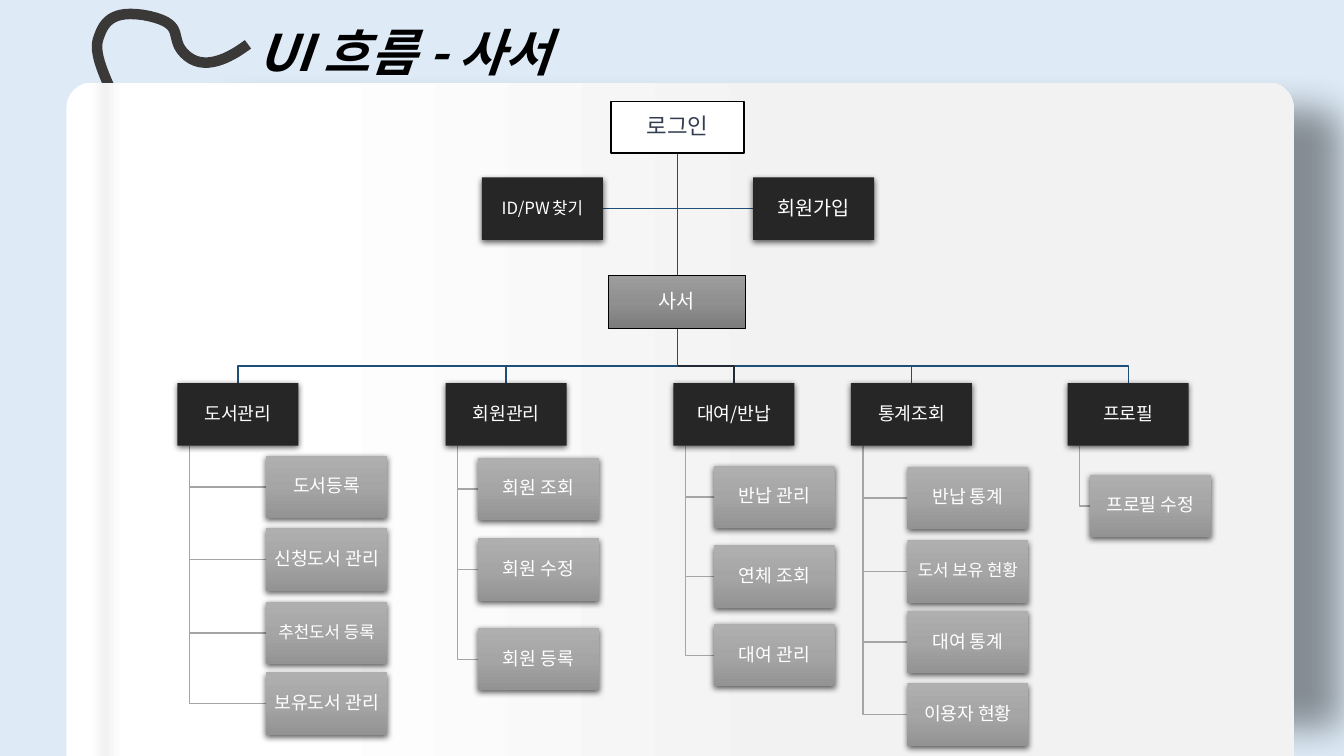
from collections import namedtuple
from dataclasses import dataclass

from lxml import etree
from pptx import Presentation
from pptx.dml.color import RGBColor
from pptx.enum.shapes import MSO_SHAPE
from pptx.enum.text import MSO_ANCHOR, MSO_AUTO_SIZE, PP_ALIGN
from pptx.oxml.ns import qn
from pptx.util import Inches, Pt

RECTANGLE = MSO_SHAPE.RECTANGLE
CARD_SHAPE = MSO_SHAPE.ROUND_2_SAME_RECTANGLE
SPINE_SHAPE = MSO_SHAPE.ROUND_1_RECTANGLE
CENTER, LEFT = PP_ALIGN.CENTER, PP_ALIGN.LEFT
MIDDLE, TOP = MSO_ANCHOR.MIDDLE, MSO_ANCHOR.TOP
GROW = MSO_AUTO_SIZE.SHAPE_TO_FIT_TEXT

# The grid has one-inch columns and rows.
COLUMNS, ROWS = 13.33, 7.5
BOX_WIDTH, BOX_HEIGHT = 1.2, 0.62
CENTER_X, LOGIN_BOTTOM, SIDE_Y = 6.72, 1.52, 2.07
BUS_Y, SECTION_TOP, STEM_INDENT = 3.63, 3.8, 0.12


@dataclass(frozen=True)
class Theme:
    font: str = "Noto Sans CJK KR"
    background: str = "DEEBF7"
    ribbon: str = "3B3838"
    black: str = "000000"
    white: str = "FFFFFF"
    login_text: str = "333F50"
    dark: str = "262626"
    trunk: str = "1F4E79"
    trunk_dark: str = "222A35"
    branch: str = "A5A5A5"
    card: tuple = ((18, "FFFFFF"), (60, "F2F2F2"))
    spine: tuple = ((29, "FFFFFF"), (49, "F2F2F2"), (73, "FFFFFF"))
    leaf: tuple = ((0, "AFAFAF"), (50, "A5A5A5"), (100, "939393"))
    role: tuple = ((0, "9D9D9D"), (50, "909090"), (100, "7C7C7C"))
    title_size: int = 36
    login_size: int = 16
    role_size: int = 14
    box_size: int = 13
    tight_size: int = 12


THEME = Theme()
Shadow = namedtuple("Shadow", "alpha blur distance direction scale")
BOX_SHADOW = Shadow(63, 4.5, 1.5, 90, 100)
CARD_SHADOW = Shadow(40, 27, 69, 0, 92)

Section = namedtuple("Section", "label left leaf_left trunk leaves")
SECTIONS = (
    Section("도서관리", 1.76, 2.64, THEME.trunk,
            (("도서등록", 4.52), ("신청도서 관리", 5.24), ("추천도서 등록", 5.97), ("보유도서 관리", 6.67))),
    Section("회원관리", 4.42, 4.74, THEME.trunk,
            (("회원 조회", 4.54), ("회원 수정", 5.34), ("회원 등록", 6.23))),
    Section("대여/반납", 6.68, 7.08, THEME.trunk_dark,
            (("반납 관리", 4.62), ("연체 조회", 5.41), ("대여 관리", 6.19))),
    Section("통계조회", 8.44, 9, THEME.trunk,
            (("반납 통계", 4.63), ("도서 보유 현황", 5.36), ("대여 통계", 6.06), ("이용자 현황", 6.78))),
    Section("프로필\t", 10.59, 10.81, THEME.trunk, (("프로필 수정", 4.71),)),
)
TIGHT_LABELS = {"추천도서 등록", "도서 보유 현황"}

RIBBON_START = (1.2, 1.12)
RIBBON_CURVES = (
    ((1.06, 0.8), (0.93, 0.56), (0.97, 0.4)),
    ((1.02, 0.24), (1.09, 0.08), (1.48, 0.16)),
    ((1.87, 0.25), (1.65, 0.39), (1.86, 0.56)),
    ((2.06, 0.72), (2.34, 0.53), (2.46, 0.44)),
)


def color(value):
    return RGBColor.from_string(value)


def paint(shape, fill, angle=0):
    """Fill with one colour, or with gradient stops at a counter-clockwise angle."""
    if isinstance(fill, str):
        shape.fill.solid()
        shape.fill.fore_color.rgb = color(fill)
        return
    shape.fill.gradient()
    shape.fill.gradient_angle = angle
    stops = shape._element.spPr.find(".//" + qn("a:gsLst"))
    for old_stop in list(stops):
        stops.remove(old_stop)
    for position, value in fill:
        stop = etree.SubElement(stops, qn("a:gs"), pos=str(position * 1000))
        etree.SubElement(stop, qn("a:srgbClr"), val=value)


def cast_shadow(shape, shadow):
    shape.shadow.inherit = False
    if shadow is None:
        return
    effects = shape._element.spPr.find(qn("a:effectLst"))
    scale = str(shadow.scale * 1000)
    outer = etree.SubElement(
        effects, qn("a:outerShdw"), blurRad=str(Pt(shadow.blur)), dist=str(Pt(shadow.distance)),
        dir=str(shadow.direction * 60000), sx=scale, sy=scale, algn="ctr", rotWithShape="0")
    tint = etree.SubElement(outer, qn("a:srgbClr"), val=THEME.black)
    etree.SubElement(tint, qn("a:alpha"), val=str(shadow.alpha * 1000))


def add_block(slide, kind, place, fill, angle=0, shadow=None, outline=None):
    """Add a preset shape; outline is a width in points, always black."""
    block = slide.shapes.add_shape(kind, *map(Inches, place))
    paint(block, fill, angle)
    cast_shadow(block, shadow)
    if outline:
        block.line.color.rgb = color(THEME.black)
        block.line.width = Pt(outline)
    else:
        block.line.fill.background()
    return block


def format_text(frame, text, size, value, align):
    frame.text = text
    para = frame.paragraphs[0]
    para.alignment = align
    for span in para.runs:
        span.font.name = THEME.font
        span.font.size = Pt(size)
        span.font.color.rgb = color(value)
        etree.SubElement(span.font._element, qn("a:ea"), typeface=THEME.font)
    return para


def add_box(slide, label, place, fill, size=THEME.box_size, text_color=THEME.white,
            shadow=BOX_SHADOW, outline=None):
    box = add_block(slide, RECTANGLE, place, fill, 270, shadow, outline)
    frame = box.text_frame
    frame.word_wrap = True
    frame.vertical_anchor = MIDDLE
    frame.margin_left = frame.margin_right = Inches(0.01)
    frame.margin_top = frame.margin_bottom = Inches(0.01)
    para = format_text(frame, label, size, text_color, CENTER)
    para.line_spacing = 0.9
    para.space_after = Pt(size * 0.35)


def add_path(slide, points, value, width=1):
    corners = [(Inches(x), Inches(y)) for x, y in points]
    builder = slide.shapes.build_freeform(*corners[0])
    builder.add_line_segments(corners[1:], close=False)
    route = builder.convert_to_shape()
    route.fill.background()
    route.line.color.rgb = color(value)
    route.line.width = Pt(width)
    route.shadow.inherit = False


def add_ribbon(slide, steps=16):
    points = [RIBBON_START]
    for curve in RIBBON_CURVES:
        controls = (points[-1], *curve)
        for step in range(1, steps + 1):
            t = step / steps
            weights = ((1 - t) ** 3, 3 * t * (1 - t) ** 2, 3 * t * t * (1 - t), t ** 3)
            points.append(tuple(sum(w * c[axis] for w, c in zip(weights, controls)) for axis in (0, 1)))
    add_path(slide, points, THEME.ribbon, 7.5)


def add_card(slide):
    card = add_block(slide, CARD_SHAPE, (0.66, 0.82, 12.17, 6.68), THEME.card, shadow=CARD_SHADOW)
    card.adjustments[0] = 0.037
    spine = add_block(slide, SPINE_SHAPE, (0.69, 0.82, 0.72, 6.68), THEME.spine, 180)
    spine.adjustments[0] = 0.3
    spine._element.spPr.find(qn("a:xfrm")).set("flipH", "1")


def format_title(slide, text):
    title = slide.shapes.title
    title.left, title.top, title.width, title.height = map(Inches, (2.46, -0.14, 3.66, 1.01))
    frame = title.text_frame
    para = format_text(frame, text, THEME.title_size, THEME.black, LEFT)
    para.line_spacing = 1.5
    para.font.bold = para.font.italic = True
    for span in para.runs:
        span.font.bold = span.font.italic = True
    frame.vertical_anchor = TOP
    frame.word_wrap = True
    frame.auto_size = GROW


def add_routes(slide):
    for side_x in (7.47, 5.98):
        add_path(slide, ((CENTER_X, LOGIN_BOTTOM), (CENTER_X, SIDE_Y), (side_x, SIDE_Y)), THEME.trunk)
    for section in reversed(SECTIONS):
        middle = section.left + BOX_WIDTH / 2
        add_path(slide, ((CENTER_X, LOGIN_BOTTOM), (CENTER_X, BUS_Y), (middle, BUS_Y),
                         (middle, SECTION_TOP)), section.trunk)
        stem = section.left + STEM_INDENT
        for _, top in section.leaves:
            leaf_y = top + BOX_HEIGHT / 2
            add_path(slide, ((stem, SECTION_TOP + BOX_HEIGHT), (stem, leaf_y),
                             (section.leaf_left, leaf_y)), THEME.branch)


def add_section(slide, section):
    size = (BOX_WIDTH, BOX_HEIGHT)
    add_box(slide, section.label, (section.left, SECTION_TOP, *size), THEME.dark)
    for label, top in section.leaves:
        text_size = THEME.tight_size if label in TIGHT_LABELS else THEME.box_size
        add_box(slide, label, (section.leaf_left, top, *size), THEME.leaf, text_size)


def main():
    deck = Presentation()
    deck.slide_width, deck.slide_height = Inches(COLUMNS), Inches(ROWS)
    slide = deck.slides.add_slide(deck.slide_layouts.get_by_name("Title Only"))
    paint(slide.background, THEME.background)
    add_ribbon(slide)
    add_card(slide)
    format_title(slide, "UI 흐름 - 사서")
    add_routes(slide)
    add_box(slide, "로그인", (6.06, 1.01, 1.32, 0.51), THEME.white, THEME.login_size,
            THEME.login_text, None, 1)
    for section in SECTIONS:
        add_section(slide, section)
    add_box(slide, "ID/PW\t찾기", (4.78, 1.76, BOX_WIDTH, BOX_HEIGHT), THEME.dark, THEME.tight_size)
    add_box(slide, "회원가입", (7.47, 1.76, BOX_WIDTH, BOX_HEIGHT), THEME.dark, THEME.role_size)
    add_box(slide, "사서", (6.03, 2.73, 1.36, 0.53), THEME.role, THEME.role_size, shadow=None, outline=0.5)
    deck.save("out.pptx")


if __name__ == "__main__":
    main()
